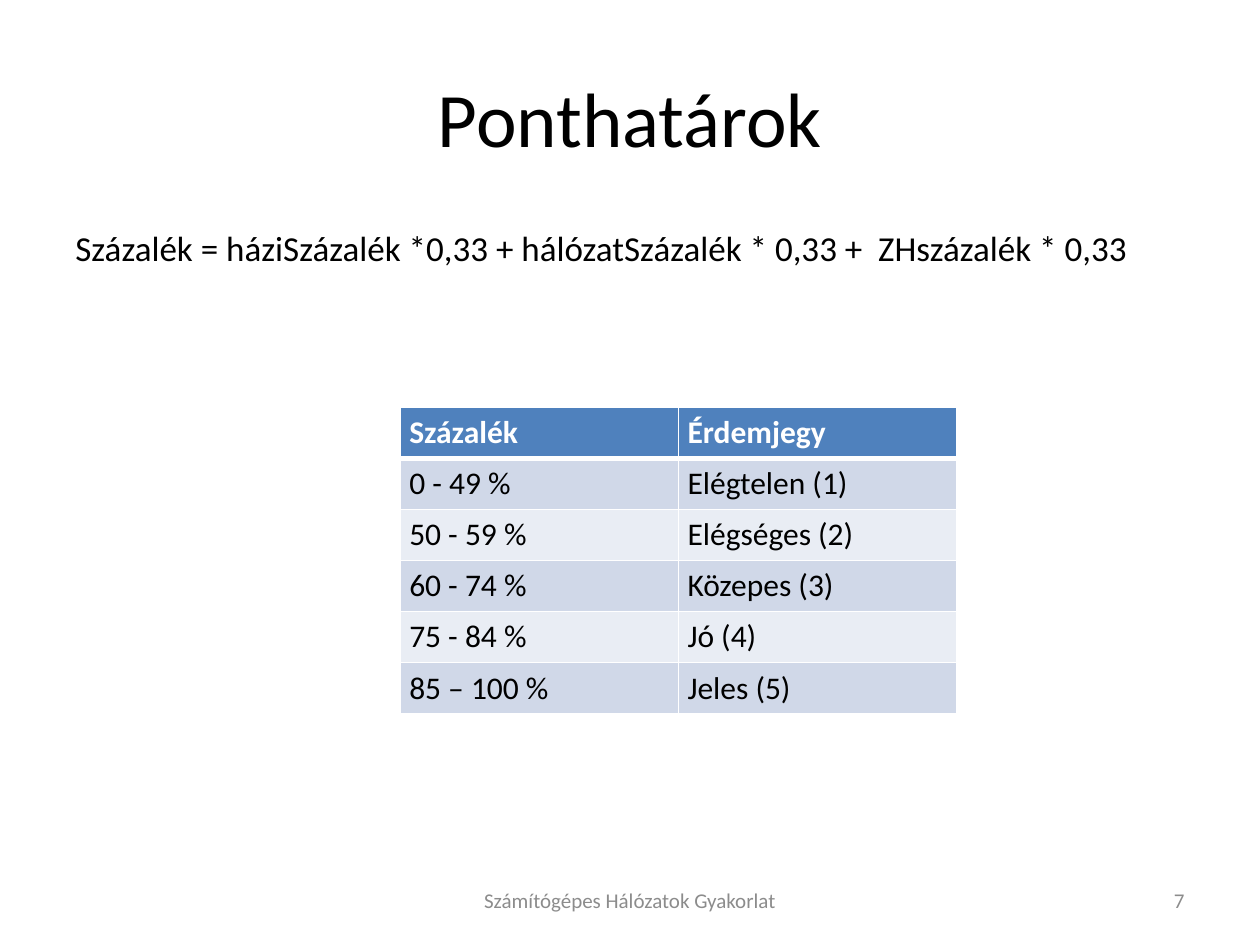
from dataclasses import dataclass

from lxml import etree
from pptx import Presentation
from pptx.dml.color import RGBColor
from pptx.enum.text import MSO_ANCHOR, PP_ALIGN
from pptx.oxml.ns import qn
from pptx.util import Cm, Pt

LEFT, CENTER, RIGHT = PP_ALIGN.LEFT, PP_ALIGN.CENTER, PP_ALIGN.RIGHT
TOP, MIDDLE = MSO_ANCHOR.TOP, MSO_ANCHOR.MIDDLE
BLANK_LAYOUT = 6


@dataclass(frozen=True)
class Theme:
    font: str = "Calibri"
    text: str = "000000"
    muted: str = "8C8C8C"
    header_text: str = "FFFFFF"
    header_fill: str = "4F81BD"
    border: str = "FFFFFF"
    band_fills: tuple = ("D0D8E8", "E9EDF4")
    title_size: int = 44
    body_size: int = 20
    table_size: int = 18
    footer_size: int = 12
    header_border: int = 3


THEME = Theme()

# text, (left, top, width, height) in cm, size, colour, alignment, anchor, space before in pt
TEXTS = [
    ("Ponthatárok", (1.27, 0.76, 22.86, 3.18),
     THEME.title_size, THEME.text, CENTER, MIDDLE, 0),
    ("Százalék = háziSzázalék *0,33 + hálózatSzázalék * 0,33 +  ZHszázalék * 0,33",
     (1.27, 4.45, 23.11, 12.57), THEME.body_size, THEME.text, LEFT, TOP, 4),
    ("Számítógépes Hálózatok Gyakorlat", (8.68, 17.65, 8.04, 1.01),
     THEME.footer_size, THEME.muted, CENTER, MIDDLE, 0),
    ("7", (18.2, 17.65, 5.93, 1.01),
     THEME.footer_size, THEME.muted, RIGHT, MIDDLE, 0),
]

GRADES = [
    ("Százalék", "Érdemjegy"),
    ("0 - 49 %", "Elégtelen (1)"),
    ("50 - 59 %", "Elégséges (2)"),
    ("60 - 74 %", "Közepes (3)"),
    ("75 - 84 %", "Jó (4)"),
    ("85 – 100 %", "Jeles (5)"),
]
TABLE_LEFT, TABLE_TOP = 8.07, 8.21
COLUMN_WIDTH, ROW_HEIGHT = 5.61, 1.03
CELL_MARGIN = 0.18


def add_run(paragraph, text, size, color, bold=False):
    run = paragraph.add_run()
    run.text = text
    run.font.name = THEME.font
    run.font.size = Pt(size)
    run.font.bold = bold
    run.font.color.rgb = RGBColor.from_string(color)


def add_text(slide, text, box, size, color, alignment, anchor, space_before):
    frame = slide.shapes.add_textbox(*map(Cm, box)).text_frame
    frame.word_wrap = True
    frame.vertical_anchor = anchor
    paragraph = frame.paragraphs[0]
    paragraph.alignment = alignment
    paragraph.space_before = Pt(space_before)
    add_run(paragraph, text, size, color)


def add_bottom_border(cell, color, width):
    """Put the line first in the cell properties, as the schema wants it before the fill."""
    line = etree.Element(qn("a:lnB"), w=str(Pt(width)))
    fill = etree.SubElement(line, qn("a:solidFill"))
    etree.SubElement(fill, qn("a:srgbClr"), val=color)
    cell._tc.get_or_add_tcPr().insert(0, line)


def add_grade_table(slide):
    """Add the table; its default style supplies the thin white borders."""
    row_count, column_count = len(GRADES), len(GRADES[0])
    table = slide.shapes.add_table(
        row_count, column_count, Cm(TABLE_LEFT), Cm(TABLE_TOP),
        Cm(COLUMN_WIDTH * column_count), Cm(ROW_HEIGHT * row_count)).table
    for row_index, texts in enumerate(GRADES):
        is_header = row_index == 0
        fill = THEME.header_fill if is_header else THEME.band_fills[(row_index - 1) % 2]
        color = THEME.header_text if is_header else THEME.text
        for column_index, text in enumerate(texts):
            cell = table.cell(row_index, column_index)
            cell.margin_left = cell.margin_right = Cm(CELL_MARGIN)
            cell.fill.solid()
            cell.fill.fore_color.rgb = RGBColor.from_string(fill)
            if is_header:
                add_bottom_border(cell, THEME.border, THEME.header_border)
            add_run(cell.text_frame.paragraphs[0], text, THEME.table_size, color, is_header)


def main():
    presentation = Presentation()
    presentation.slide_width, presentation.slide_height = Cm(25.4), Cm(19.05)
    slide = presentation.slides.add_slide(presentation.slide_layouts[BLANK_LAYOUT])
    for entry in TEXTS:
        add_text(slide, *entry)
    add_grade_table(slide)
    presentation.save("out.pptx")


if __name__ == "__main__":
    main()
